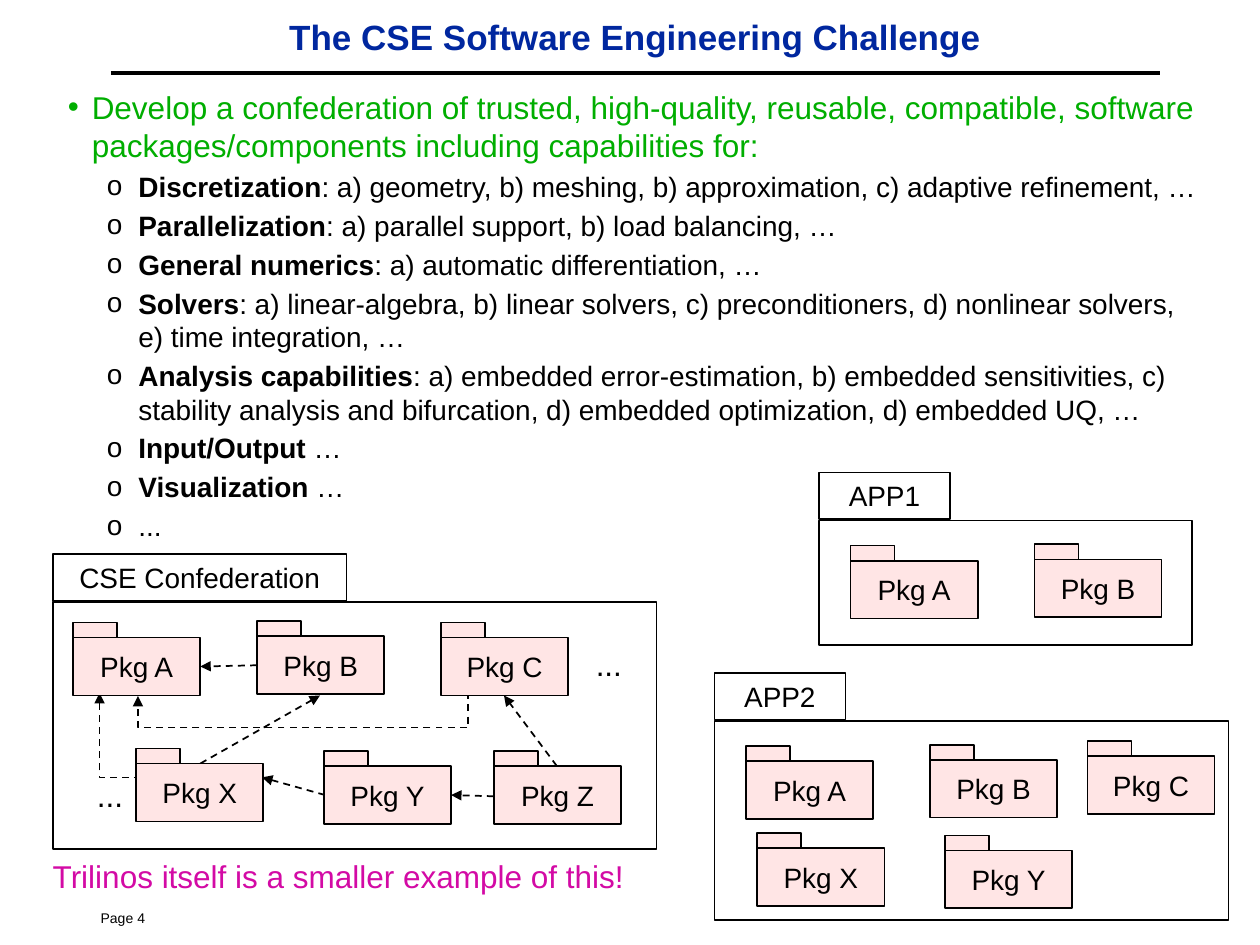
"""Build the slide about the CSE software engineering challenge."""
from dataclasses import dataclass

from lxml import etree
from pptx import Presentation
from pptx.dml.color import RGBColor
from pptx.enum.dml import MSO_LINE
from pptx.enum.shapes import MSO_CONNECTOR, MSO_SHAPE
from pptx.enum.text import MSO_ANCHOR, PP_ALIGN
from pptx.oxml.ns import qn
from pptx.util import Inches, Pt

RECTANGLE = MSO_SHAPE.RECTANGLE
STRAIGHT, ELBOW = MSO_CONNECTOR.STRAIGHT, MSO_CONNECTOR.ELBOW
DASH = MSO_LINE.DASH
TOP, MIDDLE = MSO_ANCHOR.TOP, MSO_ANCHOR.MIDDLE
LEFT, CENTER = PP_ALIGN.LEFT, PP_ALIGN.CENTER

BLACK = RGBColor(0x00, 0x00, 0x00)
WHITE = RGBColor(0xFF, 0xFF, 0xFF)
NAVY = RGBColor(0x00, 0x27, 0x9F)
GREEN = RGBColor(0x00, 0xAE, 0x00)
MAGENTA = RGBColor(0xD3, 0x0A, 0xA5)
PINK = RGBColor(0xFF, 0xE5, 0xE5)

FONT = "Arial"
PACKAGE_WIDTH, PACKAGE_HEIGHT = 1.01, 0.46
PACKAGE_TAB_WIDTH, PACKAGE_TAB_HEIGHT = 0.35, 0.12
FRAME_TAB_HEIGHT, FRAME_TAB_OFFSET = 0.37, 0.38


@dataclass
class Package:
    name: str
    left: float
    top: float


@dataclass
class Frame:
    title: str
    left: float
    top: float
    width: float
    height: float
    tab_width: float
    packages: list[Package]


@dataclass
class Arrow:
    start: tuple[float, float]
    end: tuple[float, float]


@dataclass
class ElbowArrow(Arrow):
    preset: str
    rotation: int
    adjustment: int | None = None


@dataclass
class Label:
    text: str
    left: float
    top: float
    width: float
    height: float
    size: float
    color: RGBColor = BLACK
    bold: bool = False
    alignment: PP_ALIGN = LEFT
    anchor: MSO_ANCHOR = TOP
    wrap: bool = True


GOAL = (
    "Develop a confederation of trusted, high-quality, reusable, compatible, "
    "software packages/components including capabilities for:"
)
CAPABILITIES = [
    ("Discretization", ": a) geometry, b) meshing, b) approximation, c) adaptive refinement, …"),
    ("Parallelization", ": a) parallel support, b) load balancing, …"),
    ("General numerics", ": a) automatic differentiation, …"),
    ("Solvers", ": a) linear-algebra, b) linear solvers, c) preconditioners, "
     "d) nonlinear solvers, e) time integration, …"),
    ("Analysis capabilities", ": a) embedded error-estimation, b) embedded sensitivities, "
     "c) stability analysis and bifurcation, d) embedded optimization, d) embedded UQ, …"),
    ("Input/Output", " …"),
    ("Visualization", " …"),
    ("", "..."),
]
FRAMES = [
    Frame("CSE Confederation", 0.42, 4.78, 4.79, 1.96, 2.33, [
        Package("A", 0.58, 5.06), Package("B", 2.04, 5.05), Package("C", 3.5, 5.06),
        Package("X", 1.08, 6.06), Package("Y", 2.57, 6.08), Package("Z", 3.92, 6.08)]),
    Frame("APP1", 6.5, 4.13, 2.96, 0.99, 1.04, [
        Package("A", 6.75, 4.45), Package("B", 8.21, 4.44)]),
    Frame("APP2", 5.67, 5.72, 4.08, 1.58, 1.04, [
        Package("A", 5.92, 6.04), Package("B", 7.38, 6.03), Package("C", 8.63, 6),
        Package("X", 6.01, 6.73), Package("Y", 7.5, 6.75)]),
]
ARROWS = [
    Arrow((2.04, 5.28), (1.59, 5.29)),
    Arrow((2.58, 6.31), (2.08, 6.17)),
    Arrow((1.59, 6.06), (2.54, 5.52)),
    Arrow((4.42, 6.08), (4, 5.52)),
    Arrow((3.92, 6.32), (3.58, 6.31)),
    ElbowArrow((2.39, 4.2), (2.42, 6.82), "bentConnector3", 90, 933000),
    ElbowArrow((0.79, 5.5), (1.12, 6.17), "bentConnector2", 180),
]
LABELS = [
    Label("The CSE Software Engineering Challenge", 0.79, 0.08, 8.5, 0.42, 20, NAVY,
          bold=True, alignment=CENTER, anchor=MIDDLE),
    Label("Page 4", 0.7, 7.17, 2.08, 0.22, 8),
    Label("...", 4.63, 5.07, 0.41, 0.4, 18, wrap=False),
    Label("...", 0.67, 6.11, 0.41, 0.4, 18, wrap=False),
    Label("Trilinos itself is a smaller example of this!", 0.32, 6.75, 4.81, 0.4, 18, MAGENTA),
]


def style_font(font, size: float, color: RGBColor, bold: bool = False) -> None:
    font.name, font.size, font.bold = FONT, Pt(size), bold
    font.color.rgb = color


def add_label(slide, label: Label) -> None:
    box = slide.shapes.add_textbox(
        Inches(label.left), Inches(label.top), Inches(label.width), Inches(label.height))
    text_frame = box.text_frame
    text_frame.word_wrap = label.wrap
    text_frame.vertical_anchor = label.anchor
    text_frame.text = label.text
    paragraph = text_frame.paragraphs[0]
    paragraph.alignment = label.alignment
    style_font(paragraph.runs[0].font, label.size, label.color, label.bold)


def add_box(slide, left: float, top: float, width: float, height: float,
            fill: RGBColor, text: str = "") -> None:
    shape = slide.shapes.add_shape(
        RECTANGLE, Inches(left), Inches(top), Inches(width), Inches(height))
    shape.shadow.inherit = False
    shape.fill.solid()
    shape.fill.fore_color.rgb = fill
    shape.line.color.rgb = BLACK
    shape.line.width = Pt(1)
    if text:
        text_frame = shape.text_frame
        text_frame.word_wrap = False
        text_frame.vertical_anchor = MIDDLE
        text_frame.text = text
        paragraph = text_frame.paragraphs[0]
        paragraph.alignment = CENTER
        style_font(paragraph.runs[0].font, 16, BLACK)


def add_frame(slide, frame: Frame) -> None:
    add_box(slide, frame.left, frame.top, frame.width, frame.height, WHITE)
    add_box(slide, frame.left, frame.top - FRAME_TAB_OFFSET, frame.tab_width,
            FRAME_TAB_HEIGHT, WHITE, frame.title)


def add_package(slide, package: Package) -> None:
    add_box(slide, package.left, package.top, PACKAGE_WIDTH, PACKAGE_HEIGHT,
            PINK, f"Pkg {package.name}")
    add_box(slide, package.left, package.top - PACKAGE_TAB_HEIGHT,
            PACKAGE_TAB_WIDTH, PACKAGE_TAB_HEIGHT, PINK)


def add_line(slide, kind: MSO_CONNECTOR, line: Arrow, width: float):
    connector = slide.shapes.add_connector(
        kind, *(Inches(value) for value in line.start + line.end))
    connector.line.color.rgb = BLACK
    connector.line.width = Pt(width)
    etree.SubElement(connector._element.spPr, qn("a:effectLst"))
    return connector


def add_arrow(slide, arrow: Arrow) -> None:
    bent = isinstance(arrow, ElbowArrow)
    connector = add_line(slide, ELBOW if bent else STRAIGHT, arrow, 1)
    connector.line.dash_style = DASH
    properties = connector._element.spPr
    etree.SubElement(properties.find(qn("a:ln")), qn("a:tailEnd"), type="triangle")
    if bent:
        properties.find(qn("a:xfrm")).set("rot", str(arrow.rotation * 60000))
        geometry = properties.find(qn("a:prstGeom"))
        geometry.set("prst", arrow.preset)
        if arrow.adjustment is not None:
            etree.SubElement(geometry.find(qn("a:avLst")), qn("a:gd"),
                             name="adj1", fmla=f"val {arrow.adjustment}")


def format_bullet(paragraph, character: str, color: RGBColor,
                  margin: float, hanging: float, space_after: float) -> None:
    properties = paragraph._p.get_or_add_pPr()
    properties.set("marL", str(Inches(margin)))
    properties.set("indent", str(-Inches(hanging)))
    bullet_color = etree.SubElement(properties, qn("a:buClr"))
    etree.SubElement(bullet_color, qn("a:srgbClr"), val=str(color))
    etree.SubElement(properties, qn("a:buFont"), typeface=FONT)
    etree.SubElement(properties, qn("a:buChar"), char=character)
    paragraph.space_after = Pt(space_after)


def add_capabilities(slide) -> None:
    box = slide.shapes.add_textbox(Inches(0.25), Inches(0.65), Inches(9.41), Inches(3.7))
    text_frame = box.text_frame
    text_frame.word_wrap = True
    text_frame.text = GOAL
    goal = text_frame.paragraphs[0]
    format_bullet(goal, "•", GREEN, 0.38, 0.19, 3.4)
    style_font(goal.runs[0].font, 18, GREEN)
    for term, details in CAPABILITIES:
        paragraph = text_frame.add_paragraph()
        paragraph.level = 1
        format_bullet(paragraph, "o", BLACK, 0.75, 0.25, 3)
        for text, bold in ((term, True), (details, False)):
            if text:
                run = paragraph.add_run()
                run.text = text
                style_font(run.font, 16, BLACK, bold)


def main() -> None:
    presentation = Presentation()
    presentation.slide_width, presentation.slide_height = Inches(10), Inches(7.5)
    slide = presentation.slides.add_slide(presentation.slide_layouts[6])
    add_line(slide, STRAIGHT, Arrow((0.88, 0.58), (9.21, 0.58)), 2)
    add_capabilities(slide)
    for frame in FRAMES:
        add_frame(slide, frame)
    for arrow in ARROWS:
        add_arrow(slide, arrow)
    for frame in FRAMES:
        for package in frame.packages:
            add_package(slide, package)
    for label in LABELS:
        add_label(slide, label)
    presentation.save("out.pptx")


if __name__ == "__main__":
    main()
